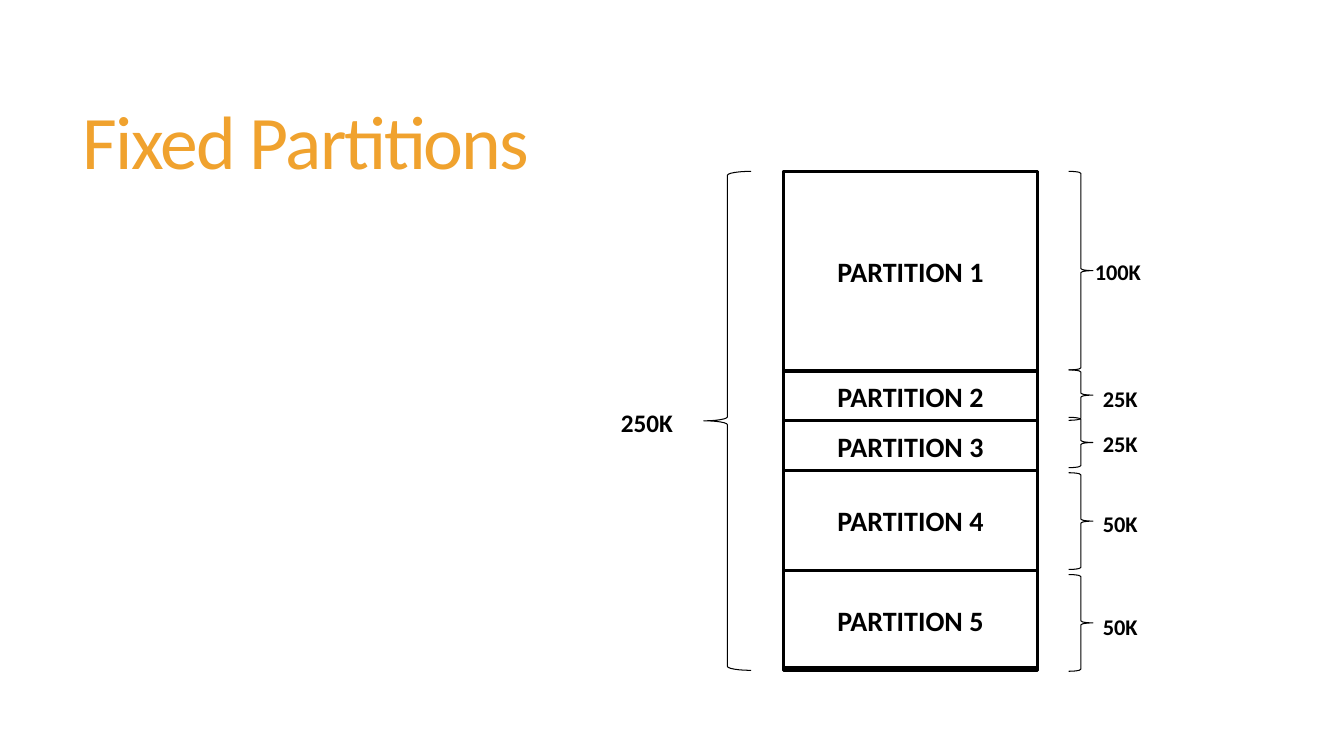
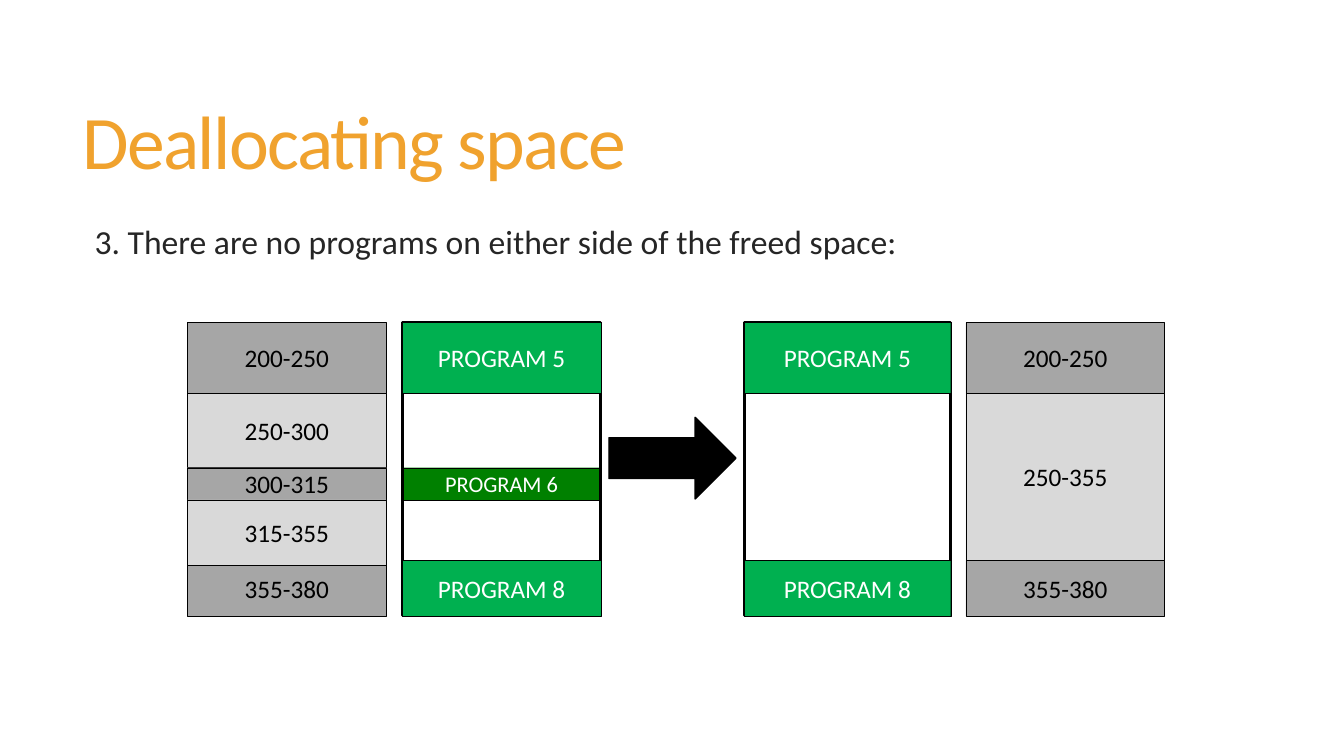
from pptx import Presentation
from pptx.dml.color import RGBColor
from pptx.enum.shapes import MSO_SHAPE as Shape
from pptx.enum.text import MSO_ANCHOR as Anchor, PP_ALIGN as Align
from pptx.util import Inches, Pt

ORANGE = RGBColor(0xF0, 0xA2, 0x2E)
INK = RGBColor(0x26, 0x26, 0x26)
BLACK = RGBColor(0x00, 0x00, 0x00)
WHITE = RGBColor(0xFF, 0xFF, 0xFF)
GREEN = RGBColor(0x00, 0xB0, 0x50)
DARK_GREEN = RGBColor(0x00, 0x80, 0x00)
GREY = RGBColor(0xA6, 0xA6, 0xA6)
LIGHT_GREY = RGBColor(0xD9, 0xD9, 0xD9)

FONT = "Calibri"
TITLE = {"size": Pt(54), "color": ORANGE}
BODY = {"size": Pt(24), "color": INK}
PARTITION = {"size": Pt(20), "color": BLACK, "bold": True}
TOTAL = {"size": Pt(18), "color": BLACK, "bold": True}
SIZE_LABEL = {"size": Pt(16), "color": BLACK, "bold": True}
RANGE = {"size": Pt(18), "color": BLACK}
PROGRAM = {"size": Pt(18), "color": WHITE}
SMALL_PROGRAM = {"size": Pt(16), "color": WHITE}

# Size in K, brace top, brace height, label left, label top
PARTITIONS = [
    (100, 1.7, 1.97, 10.76, 2.51),
    (25, 3.67, 0.5, 10.84, 3.77),
    (25, 4.14, 0.5, 10.84, 4.22),
    (50, 4.69, 0.96, 10.84, 5.01),
    (50, 5.7, 0.96, 10.84, 6.03),
]
MEMORY_LEFT, MEMORY_TOP, MEMORY_WIDTH, MEMORY_HEIGHT = 7.77, 1.7, 2.52, 4.95

RULE = "3. There are no programs on either side of the freed space:"
STACK_TOP, STACK_HEIGHT = 3.2, 2.91
FIRST, LAST = (STACK_TOP, 0.7), (5.56, 0.55)
FREED = (4.64, 0.32)
# Left and width of each framed memory column
MEMORY_COLUMNS = [(3.99, 1.97), (7.38, 2.05)]
# Left of each address column, then its cells: top and height, range, fill
ADDRESS_COLUMNS = [
    (1.86, [(FIRST, "200-250", GREY), ((3.9, 0.74), "250-300", LIGHT_GREY),
            (FREED, "300-315", GREY), (LAST, "355-380", GREY),
            ((4.96, 0.65), "315-355", LIGHT_GREY)]),
    (9.58, [(FIRST, "200-250", GREY), ((3.9, 1.66), "250-355", LIGHT_GREY),
            (LAST, "355-380", GREY)]),
]
ADDRESS_WIDTH = 1.97


def write(shape, text, style, align=Align.LEFT):
    para = shape.text_frame.paragraphs[0]
    para.alignment = align
    span = para.add_run()
    span.text = text
    span.font.name = FONT
    for name, value in style.items():
        if name == "color":
            span.font.color.rgb = value
        else:
            setattr(span.font, name, value)
    return para, span


def add_text(page, area, text, style, anchor=Anchor.TOP, wrap=True):
    box = page.shapes.add_textbox(*map(Inches, area))
    box.text_frame.word_wrap = wrap
    box.text_frame.vertical_anchor = anchor
    return write(box, text, style)


def add_figure(page, kind, area, fill=None, line=2.25, text=None, style=None):
    """Add an outlined shape, unfilled unless a fill is given."""
    shape = page.shapes.add_shape(kind, *map(Inches, area))
    shape.shadow.inherit = False
    if fill is None:
        shape.fill.background()
    else:
        shape.fill.solid()
        shape.fill.fore_color.rgb = fill
    shape.line.color.rgb = BLACK
    shape.line.width = Pt(line)
    if text:
        shape.text_frame.vertical_anchor = Anchor.MIDDLE
        write(shape, text, style, Align.CENTER)


def add_page(deck, title):
    page = deck.slides.add_slide(deck.slide_layouts[6])
    para, span = add_text(page, (0.72, 0.55, 11.78, 1.81), title, TITLE, Anchor.MIDDLE)
    para.line_spacing = 0.85
    span.font._element.set("spc", "-120")
    return page


def build_fixed_partitions(deck):
    page = add_page(deck, "Fixed Partitions")
    add_figure(page, Shape.RECTANGLE, (MEMORY_LEFT, MEMORY_TOP, MEMORY_WIDTH, 4.92))
    total = sum(partition[0] for partition in PARTITIONS)
    top = MEMORY_TOP
    for number, (size, brace_top, brace_height, label_left, label_top) in enumerate(PARTITIONS, 1):
        height = MEMORY_HEIGHT * size / total
        add_figure(page, Shape.RECTANGLE, (MEMORY_LEFT, top, MEMORY_WIDTH, height),
                   text=f"PARTITION {number}", style=PARTITION)
        add_figure(page, Shape.RIGHT_BRACE, (10.6, brace_top, 0.24, brace_height), line=0.75)
        add_text(page, (label_left, label_top, 0.7, 0.37), f"{size}K", SIZE_LABEL, wrap=False)
        top += height
    add_figure(page, Shape.LEFT_BRACE, (6.98, MEMORY_TOP, 0.47, MEMORY_HEIGHT), line=0.75)
    add_text(page, (6.06, 3.99, 0.85, 0.4), f"{total}K", TOTAL, wrap=False)


def build_deallocating(deck):
    page = add_page(deck, "Deallocating space")
    para, _ = add_text(page, (0.84, 2.2, 11.66, 4.12), RULE, BODY)
    para.line_spacing = 0.85

    def add_cell(left, width, rows, text, fill, style):
        top, height = rows
        add_figure(page, Shape.RECTANGLE, (left, top, width, height), fill, 0.25, text, style)

    add_cell(*MEMORY_COLUMNS[0], FREED, "PROGRAM 6", DARK_GREEN, SMALL_PROGRAM)
    for left, width in MEMORY_COLUMNS:
        add_figure(page, Shape.RECTANGLE, (left, STACK_TOP, width, STACK_HEIGHT))
        add_cell(left, width, FIRST, "PROGRAM 5", GREEN, PROGRAM)
        add_cell(left, width, LAST, "PROGRAM 8", GREEN, PROGRAM)
    add_figure(page, Shape.RIGHT_ARROW, (6.04, 4.14, 1.26, 0.81), BLACK, 1)
    for left, cells in ADDRESS_COLUMNS:
        for rows, text, fill in cells:
            add_cell(left, ADDRESS_WIDTH, rows, text, fill, RANGE)


def main():
    deck = Presentation()
    deck.slide_width, deck.slide_height = Inches(13.33), Inches(7.5)
    build_fixed_partitions(deck)
    build_deallocating(deck)
    deck.save("out.pptx")


if __name__ == "__main__":
    main()
